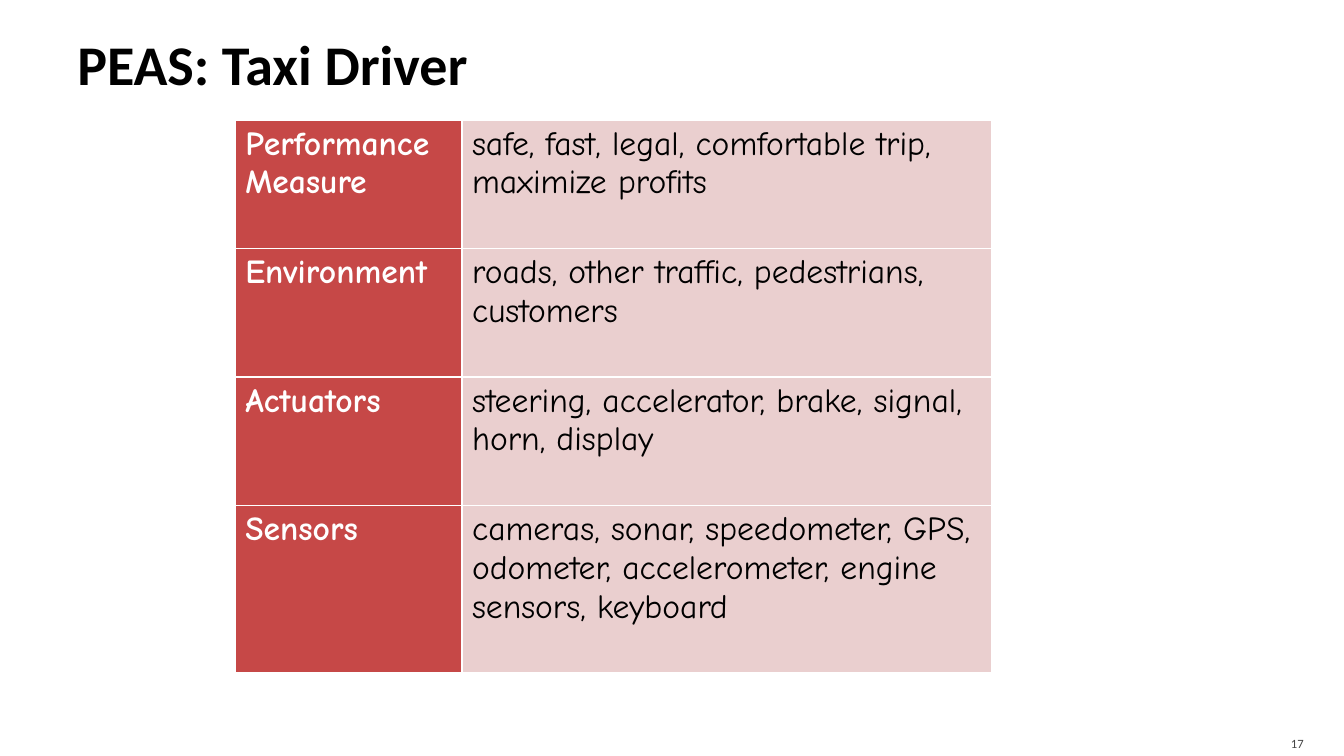
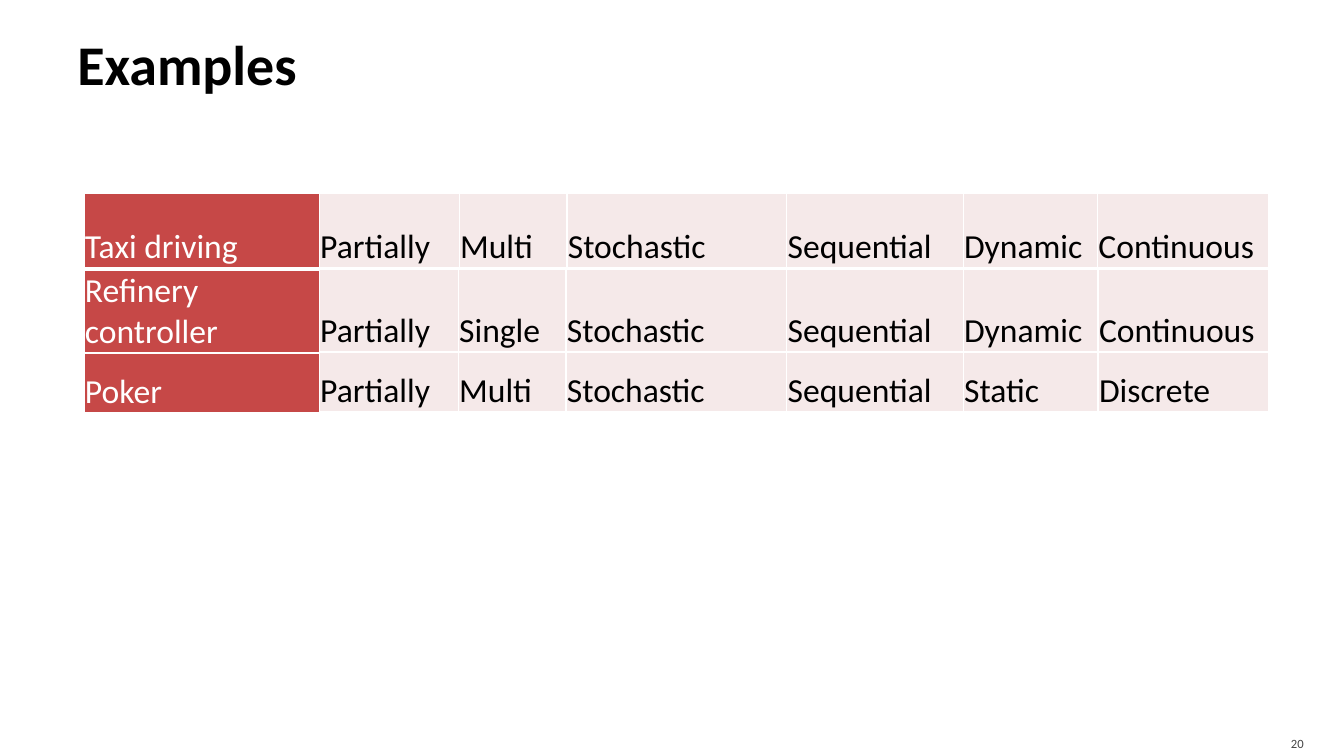
from dataclasses import dataclass

from lxml import etree
from pptx import Presentation
from pptx.dml.color import RGBColor
from pptx.enum.text import MSO_ANCHOR, PP_ALIGN
from pptx.oxml.ns import qn
from pptx.util import Pt

LEFT, RIGHT = PP_ALIGN.LEFT, PP_ALIGN.RIGHT
TOP, MIDDLE, BOTTOM = MSO_ANCHOR.TOP, MSO_ANCHOR.MIDDLE, MSO_ANCHOR.BOTTOM
TITLE_ONLY = 5


@dataclass(frozen=True)
class Theme:
    white: str = "FFFFFF"
    black: str = "000000"
    grey: str = "454545"
    red: str = "C64847"
    pink: str = "EACFCF"
    pale_pink: str = "F5E9E9"
    body_font: str = "Calibri"
    hand_font: str = "Comic Neue"
    title_size: int = 40
    table_size: int = 24
    number_size: int = 9
    border_width: int = 1


@dataclass(frozen=True)
class TableStyle:
    font: str
    body_fill: str
    anchor: MSO_ANCHOR
    margins: tuple
    bold_labels: bool


THEME = Theme()
ROOMY = TableStyle(THEME.hand_font, THEME.pink, TOP, (7.2, 3.6, 7.2, 3.6), True)
TIGHT = TableStyle(THEME.body_font, THEME.pale_pink, BOTTOM, (0.7, 0.7, 0.7, 0), False)


class Deck:
    """Holds the presentation, its theme and the current page."""

    def __init__(self, theme):
        self.theme = theme
        self.presentation = Presentation()
        self.presentation.slide_width = Pt(960)
        self.presentation.slide_height = Pt(540)
        self.page = None

    def add_page(self, title, number):
        layout = self.presentation.slide_layouts[TITLE_ONLY]
        self.page = self.presentation.slides.add_slide(layout)
        self.add_title(title)
        self.add_number(number)

    def add_title(self, text):
        box = self.page.shapes.title
        box.left, box.top, box.width, box.height = Pt(48), Pt(6), Pt(864), Pt(78)
        self.fill_frame(box.text_frame, text, (7.2, 3.6, 3.6, 3.6), LEFT)
        self.style_font(box.text_frame.paragraphs[0].font, self.theme.body_font,
                        self.theme.title_size, self.theme.black, True)

    def add_number(self, number):
        box = self.page.shapes.add_textbox(Pt(861.3), Pt(518.4), Pt(77), Pt(21.6))
        self.fill_frame(box.text_frame, str(number), (7.2, 3.6, 7.2, 0), RIGHT)
        self.style_font(box.text_frame.paragraphs[0].font, self.theme.body_font,
                        self.theme.number_size, self.theme.grey)

    def add_table(self, left, top, widths, heights, rows, style, label_columns=1):
        """Draw a table whose first label_columns columns hold the row labels."""
        frame = self.page.shapes.add_table(
            len(rows), len(widths), Pt(left), Pt(top), Pt(sum(widths)), Pt(sum(heights)))
        table = frame.table
        table.first_row = table.horz_banding = False
        for column, width in zip(table.columns, widths):
            column.width = Pt(width)
        for row, height, texts in zip(table.rows, heights, rows):
            row.height = Pt(height)
            for index, (cell, text) in enumerate(zip(row.cells, texts)):
                self.fill_cell(cell, text, style, index < label_columns)

    def fill_cell(self, cell, text, style, is_label):
        theme = self.theme
        cell.text = text
        cell.vertical_anchor = style.anchor
        self.set_margins(cell, style.margins)
        cell.fill.solid()
        cell.fill.fore_color.rgb = RGBColor.from_string(
            theme.red if is_label else style.body_fill)
        self.style_font(cell.text_frame.paragraphs[0].font, style.font, theme.table_size,
                        theme.white if is_label else theme.black,
                        is_label and style.bold_labels)
        self.add_borders(cell)

    def add_borders(self, cell):
        properties = cell._tc.get_or_add_tcPr()
        # Border lines must stand before the fill
        for position, side in enumerate(("a:lnL", "a:lnR", "a:lnT", "a:lnB")):
            line = etree.Element(qn(side), w=str(Pt(self.theme.border_width)))
            fill = etree.SubElement(line, qn("a:solidFill"))
            etree.SubElement(fill, qn("a:srgbClr"), val=self.theme.white)
            properties.insert(position, line)

    def fill_frame(self, frame, text, margins, alignment):
        frame.text = text
        frame.word_wrap = True
        frame.vertical_anchor = MIDDLE
        frame.paragraphs[0].alignment = alignment
        self.set_margins(frame, margins)

    @staticmethod
    def set_margins(target, margins):
        (target.margin_left, target.margin_top,
         target.margin_right, target.margin_bottom) = map(Pt, margins)

    @staticmethod
    def style_font(font, name, size, color, bold=False):
        font.name, font.size, font.bold = name, Pt(size), bold
        font.color.rgb = RGBColor.from_string(color)


def main():
    deck = Deck(THEME)

    # Task description of the taxi driver
    deck.add_page("PEAS: Taxi Driver", 17)
    deck.add_table(168, 85.7, [162, 378], [91.8, 91.8, 91.8, 119.2], [
        ("Performance Measure", "safe, fast, legal, comfortable trip, maximize profits"),
        ("Environment", "roads, other traffic, pedestrians, customers"),
        ("Actuators", "steering, accelerator, brake, signal, horn, display"),
        ("Sensors", "cameras, sonar, speedometer, GPS, odometer, accelerometer, "
                    "engine sensors, keyboard"),
    ], ROOMY)

    # Properties of example environments
    deck.add_page("Examples", 20)
    left, label_width = 60, 168
    deck.add_table(left, 138.2, [label_width, 100, 77, 157, 126, 96, 122], [53.3], [
        ("Taxi driving", "Partially", "Multi", "Stochastic", "Sequential",
         "Dynamic", "Continuous"),
    ], TIGHT)

    # Further examples: a label table beside a table of values
    value_widths = [99.3, 77, 157.7, 126, 96.4, 121.6]
    examples = [
        (192.2, 59, "Refinery controller",
         ("Partially", "Single", "Stochastic", "Sequential", "Dynamic", "Continuous")),
        (252, 41.8, "Poker",
         ("Partially", "Multi", "Stochastic", "Sequential", "Static", "Discrete")),
    ]
    for top, height, label, values in examples:
        deck.add_table(left, top + 0.7, [label_width], [height], [(label,)], TIGHT)
        deck.add_table(left + label_width, top, value_widths, [height], [values], TIGHT,
                       label_columns=0)

    deck.presentation.save("out.pptx")


if __name__ == "__main__":
    main()
